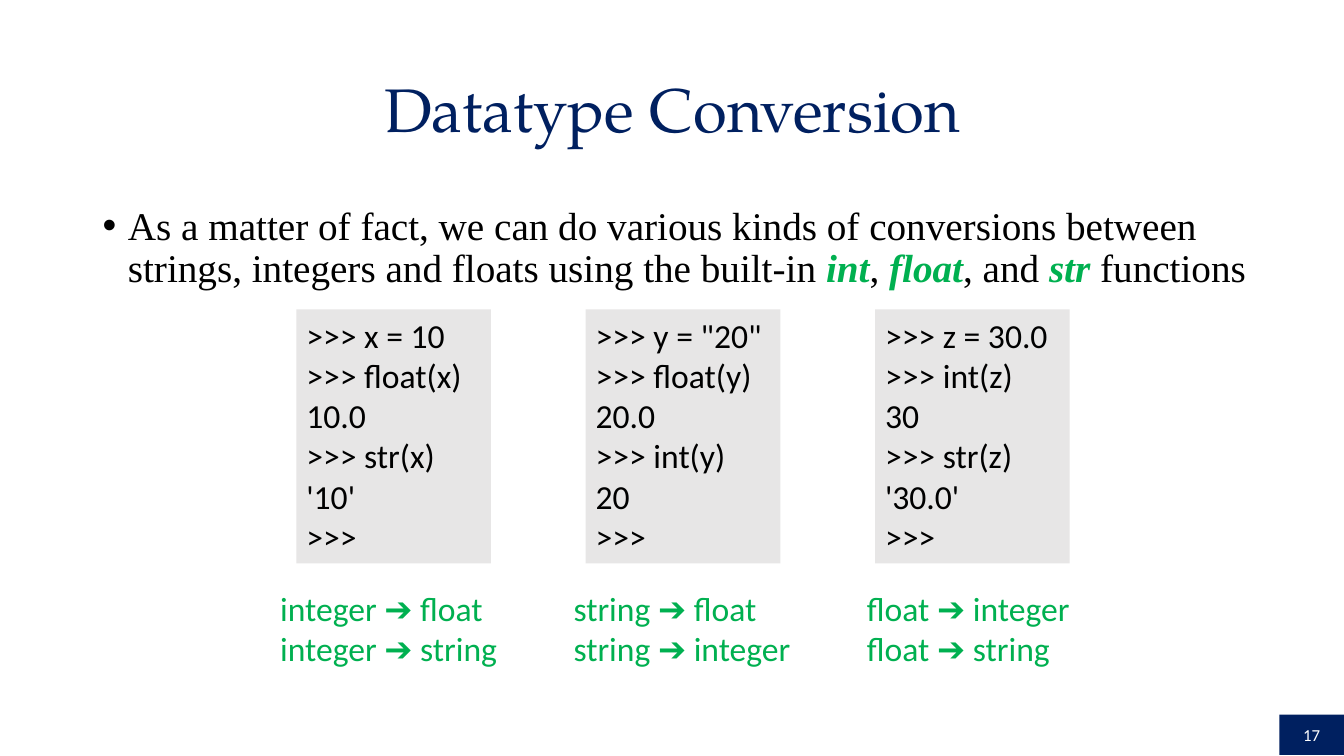
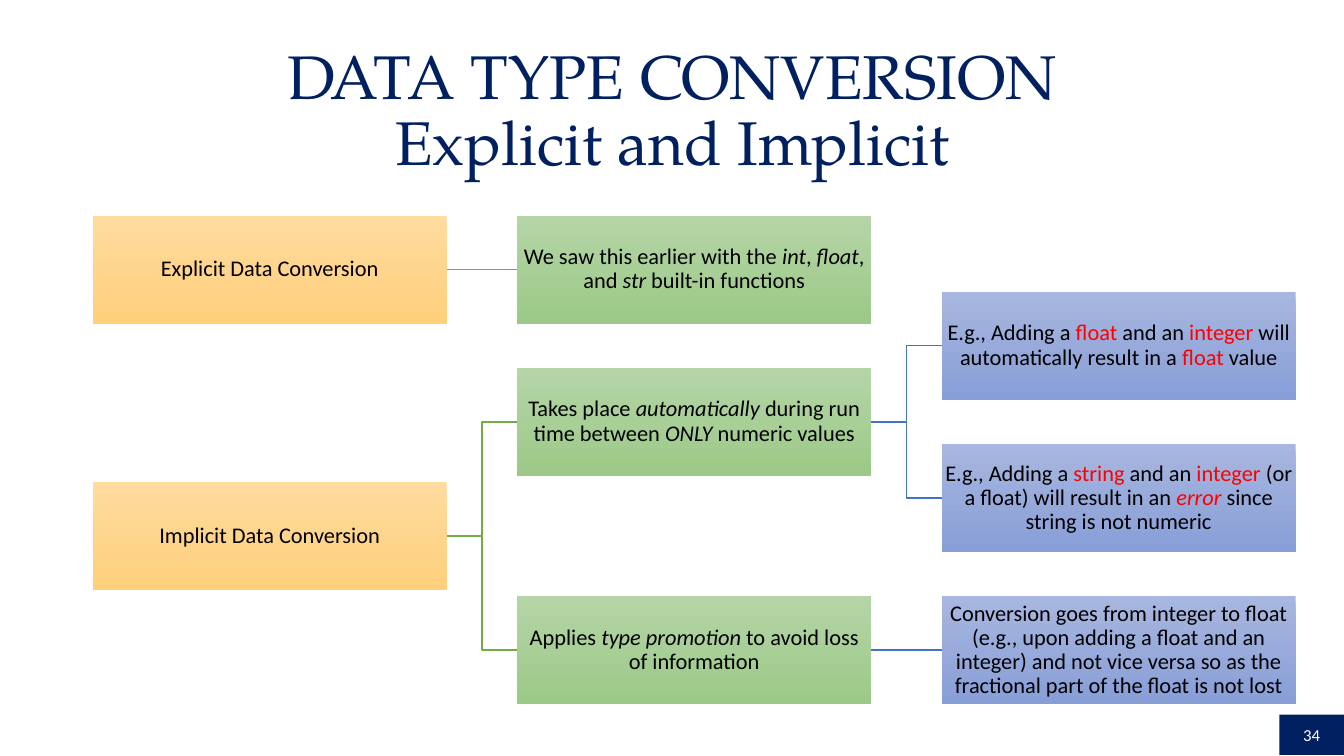
"""Build two slides on converting between Python data types."""
from dataclasses import dataclass
from typing import Any, NamedTuple

from lxml.etree import SubElement as Sub
from pptx import Presentation
from pptx.dml.color import RGBColor as RGB
from pptx.enum.shapes import MSO_CONNECTOR as Link, MSO_SHAPE as Kind
from pptx.enum.text import MSO_ANCHOR as Anchor, PP_ALIGN as Align
from pptx.oxml.ns import qn
from pptx.util import Inches, Pt

NAVY = RGB(0x00, 0x20, 0x60)
BLACK = RGB(0x00, 0x00, 0x00)
WHITE = RGB(0xFF, 0xFF, 0xFF)
GRAY = RGB(0xE7, 0xE6, 0xE6)
LEAF = RGB(0x00, 0xB0, 0x50)
RED = RGB(0xFF, 0x00, 0x00)
GREEN = RGB(0x70, 0xAD, 0x47)
BLUE = RGB(0x44, 0x72, 0xC4)


class Run(NamedTuple):
    text: str
    look: dict[str, Any] = {}


class Box(NamedTuple):
    left: float
    top: float
    width: float
    height: float


@dataclass(frozen=True)
class Style:
    font: dict[str, Any]
    para: dict[str, Any]
    frame: dict[str, Any]


@dataclass(frozen=True)
class Tier:
    top: RGB
    base: RGB
    line: RGB


class Node(NamedTuple):
    col: int
    row: float
    runs: list[Run]
    root: int | None = None


class Demo(NamedTuple):
    code: list[str]
    notes: list[str]


CENTER = {"alignment": Align.CENTER}
TIGHT = {"line_spacing": 0.9}
MIDDLE = {"word_wrap": True, "vertical_anchor": Anchor.MIDDLE}
TOP = {"word_wrap": True, "vertical_anchor": Anchor.TOP}
SIDES = ("margin_left", "margin_right", "margin_top", "margin_bottom")
THIN = dict.fromkeys(SIDES, Inches(0.01))
LEFT = {"alignment": Align.LEFT}


def font(name: str, size: int, color: RGB) -> dict[str, Any]:
    """Return the format values of a font."""
    return {"name": name, "size": Pt(size), "color": color}


TITLE = Style(font("TeX Gyre Pagella", 44, NAVY), CENTER | TIGHT, MIDDLE)
BODY = Style(font("Times New Roman", 28, BLACK), LEFT | TIGHT, TOP)
CODE = Style(font("Calibri", 24, BLACK), LEFT, TOP)
NOTE = Style(font("Calibri", 24, LEAF), LEFT, TOP)
PAGE = Style(font("Calibri", 12, WHITE), CENTER, MIDDLE)
NODE = Style(font("Calibri", 16, BLACK), CENTER | TIGHT, MIDDLE | THIN)

KEY = {"bold": True, "italic": True, "color": LEAF}
ITAL = {"italic": True}
HOT = {"color": RED}

INTRO = [
    Run("As a matter of fact, we can do various kinds of conversions between "
        "strings, integers and floats using the built-in "),
    Run("int", KEY), Run(", "), Run("float", KEY), Run(", and "),
    Run("str", KEY), Run(" functions"),
]
DEMOS = [
    Demo([">>> x = 10", ">>> float(x)", "10.0", ">>> str(x)", "'10'", ">>>"],
         ["integer ➔ float", "integer ➔ string"]),
    Demo([">>> y = \"20\"", ">>> float(y)", "20.0", ">>> int(y)", "20", ">>>"],
         ["string ➔ float", "string ➔ integer"]),
    Demo([">>> z = 30.0", ">>> int(z)", "30", ">>> str(z)", "'30.0'", ">>>"],
         ["float ➔ integer", "float ➔ string"]),
]
TIERS = [
    Tier(RGB(0xFF, 0xDB, 0x9E), RGB(0xFF, 0xD0, 0x7C), GREEN),
    Tier(RGB(0xB5, 0xD5, 0xA7), RGB(0x9C, 0xC9, 0x87), GREEN),
    Tier(RGB(0xA8, 0xB7, 0xDF), RGB(0x88, 0x9E, 0xD7), BLUE),
]
NODES = [
    Node(0, 0, [Run("Explicit Data Conversion")]),
    Node(1, 0, [Run("We saw this earlier with the "), Run("int", ITAL),
                Run(", "), Run("float", ITAL), Run(", and "),
                Run("str", ITAL), Run(" built-in functions")], 0),
    Node(0, 1.75, [Run("Implicit Data Conversion")]),
    Node(1, 1, [Run("Takes place "), Run("automatically", ITAL),
                Run(" during run time between "), Run("ONLY", ITAL),
                Run(" numeric values")], 2),
    Node(1, 2.5, [Run("Applies "), Run("type promotion", ITAL),
                  Run(" to avoid loss of information")], 2),
    Node(2, 0.5, [Run("E.g., Adding a "), Run("float", HOT),
                  Run(" and an "), Run("integer", HOT),
                  Run(" will automatically result in a "),
                  Run("float", HOT), Run(" value")], 3),
    Node(2, 1.5, [Run("E.g., Adding a "), Run("string", HOT),
                  Run(" and an "), Run("integer", HOT),
                  Run(" (or a float) will result in an "),
                  Run("error", HOT | ITAL),
                  Run(" since string is not numeric")], 3),
    Node(2, 2.5, [Run("Conversion goes from integer to float (e.g., upon "
                      "adding a float and an integer) and not vice versa so "
                      "as the fractional part of the float is not lost")], 4),
]


def apply(item: Any, look: dict[str, Any]) -> None:
    """Set each format value on the item."""
    for key, value in look.items():
        if key == "color":
            item.color.rgb = value
        else:
            setattr(item, key, value)


def write(shape: Any, paras: list[list[Run]], style: Style) -> None:
    """Fill a shape with styled paragraphs."""
    frame = shape.text_frame
    apply(frame, style.frame)
    for i, runs in enumerate(paras):
        para = frame.add_paragraph() if i else frame.paragraphs[0]
        apply(para, style.para)
        for part in runs:
            run = para.add_run()
            run.text = part.text
            apply(run.font, style.font | part.look)


def lines(texts: list[str]) -> list[list[Run]]:
    """Turn plain lines into paragraphs."""
    return [[Run(text)] for text in texts]


def label(slide: Any, box: Box, paras: list[list[Run]], style: Style) -> Any:
    """Add a text box."""
    shape = slide.shapes.add_textbox(*map(Inches, box))
    write(shape, paras, style)
    return shape


def panel(slide: Any, box: Box, paras: list[list[Run]], style: Style,
          paint: RGB | Tier) -> Any:
    """Add a rectangle with a flat or shaded fill."""
    shape = slide.shapes.add_shape(Kind.RECTANGLE, *map(Inches, box))
    shape.shadow.inherit = False
    shape.line.fill.background()
    if isinstance(paint, Tier):
        shape.fill.gradient()
        shape.fill.gradient_angle = 270
        for stop, color in zip(shape.fill.gradient_stops,
                               (paint.top, paint.base)):
            stop.color.rgb = color
    else:
        shape.fill.solid()
        shape.fill.fore_color.rgb = paint
    write(shape, paras, style)
    return shape


def join(slide: Any, root: Any, leaf: Any, color: RGB) -> None:
    """Link the right side of one box to the left side of another."""
    kind = Link.STRAIGHT if root.top == leaf.top else Link.ELBOW
    link = slide.shapes.add_connector(kind, 0, 0, 0, 0)
    link.begin_connect(root, 3)
    link.end_connect(leaf, 1)
    link.line.color.rgb = color
    link.line.width = Pt(1)
    Sub(link._element.spPr, qn("a:effectLst"))


def bullet(para: Any) -> None:
    """Give a paragraph a hanging bullet."""
    props = para._p.get_or_add_pPr()
    props.set("marL", str(Inches(0.25)))
    props.set("indent", str(-Inches(0.25)))
    Sub(props, qn("a:buFont"), typeface="Arial")
    Sub(props, qn("a:buChar"), char="•")


def start(deck: Any, title: list[str], page: int) -> Any:
    """Add a slide with its title and page number."""
    slide = deck.slides.add_slide(deck.slide_layouts[6])
    label(slide, Box(0.92, 0.39, 11.5, 1.45), lines(title), TITLE)
    panel(slide, Box(12.69, 7.09, 0.64, 0.4), lines([str(page)]), PAGE, NAVY)
    return slide


def basics(deck: Any) -> None:
    """Draw the slide of built-in conversions."""
    slide = start(deck, ["Datatype Conversion"], 17)
    body = label(slide, Box(0.92, 2, 11.82, 1), [INTRO], BODY)
    bullet(body.text_frame.paragraphs[0])
    for i, demo in enumerate(DEMOS):
        panel(slide, Box(2.94 + 2.87 * i, 3.07, 1.93, 2.52),
              lines(demo.code), CODE, GRAY)
        label(slide, Box(2.68 + 2.91 * i, 5.78, 2.45, 0.91),
              lines(demo.notes), NOTE)


def tree(deck: Any) -> None:
    """Draw the slide of explicit and implicit conversion."""
    slide = start(deck, ["DATA TYPE CONVERSION", "Explicit and Implicit"], 34)
    boxes: list[Any] = []
    for node in NODES:
        tier = TIERS[node.col]
        box = Box(0.92 + 4.21 * node.col, 2.14 + 1.51 * node.row, 3.51, 1.07)
        boxes.append(panel(slide, box, [node.runs], NODE, tier))
        if node.root is not None:
            join(slide, boxes[node.root], boxes[-1], tier.line)


def main() -> None:
    """Build and save the deck."""
    deck = Presentation()
    deck.slide_width, deck.slide_height = Inches(13.33), Inches(7.5)
    basics(deck)
    tree(deck)
    deck.save("out.pptx")


if __name__ == "__main__":
    main()
